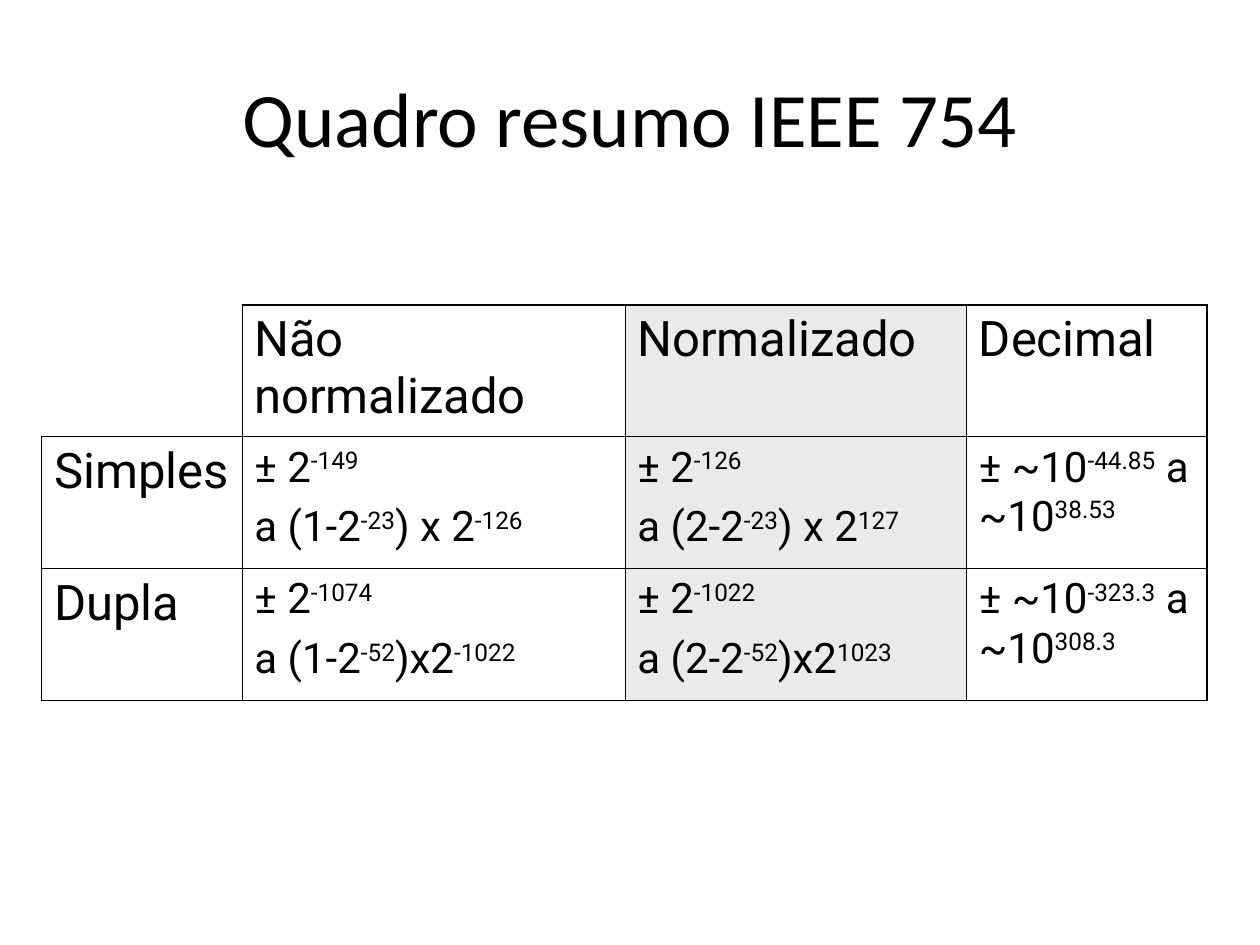
from lxml.etree import SubElement
from pptx import Presentation
from pptx.dml.color import RGBColor
from pptx.enum.text import MSO_ANCHOR, PP_ALIGN
from pptx.oxml.ns import qn
from pptx.util import Inches, Pt

BLACK = RGBColor(0x00, 0x00, 0x00)
GREY = RGBColor(0xEA, 0xEA, 0xEA)

INNER, OUTER = Pt(0.45), Pt(1.08)
COLUMN_WIDTHS = (1.59, 3.04, 2.71, 1.91)
NORMALIZED_COLUMN = 2

# Each cell is a list of paragraphs; text between carets is superscript
SUMMARY = [
    [[], ["Não normalizado"], ["Normalizado"], ["Decimal"]],
    [["Simples"],
     ["± 2^-149^", "a (1-2^-23^) x 2^-126^"],
     ["± 2^-126^", "a (2-2^-23^) x 2^127^"],
     ["± ~10^-44.85^ a ~10^38.53^"]],
    [["Dupla"],
     ["± 2^-1074^", "a (1-2^-52^)x2^-1022^"],
     ["± 2^-1022^", "a (2-2^-52^)x2^1023^"],
     ["± ~10^-323.3^ a ~10^308.3^"]],
]


def style_font(font, name, size):
    font.name, font.size = name, Pt(size)
    font.color.rgb = BLACK


def add_title(slide, left, top, width, height):
    title = slide.shapes.title
    title.left, title.top, title.width, title.height = left, top, width, height
    frame = title.text_frame
    frame.text = "Quadro resumo IEEE 754"
    frame.vertical_anchor = MSO_ANCHOR.MIDDLE
    heading = frame.paragraphs[0]
    heading.alignment = PP_ALIGN.CENTER
    style_font(heading.runs[0].font, "Calibri", 44)


def set_borders(cell, widths):
    """Draw the left, right, top and bottom edges; None means no line."""
    properties = cell._tc.get_or_add_tcPr()
    for side, width in zip("LRTB", widths):
        edge = SubElement(properties, qn(f"a:ln{side}"))
        if width is None:
            SubElement(edge, qn("a:noFill"))
            continue
        edge.set("w", str(width))
        fill = SubElement(edge, qn("a:solidFill"))
        SubElement(fill, qn("a:srgbClr")).set("val", str(BLACK))


def write_cell(cell, lines, is_label):
    frame = cell.text_frame
    for index, line in enumerate(lines):
        paragraph = frame.add_paragraph() if index else frame.paragraphs[0]
        paragraph.space_before = Pt(7 if is_label else 6)
        for part, text in enumerate(line.split("^")):
            if not text:
                continue
            run = paragraph.add_run()
            run.text = text
            style_font(run.font, "Roboto", 28 if is_label else 24)
            if part % 2:
                run.font._element.set("baseline", "30000")


def add_summary(slide, left, top, width, height):
    rows, columns = len(SUMMARY), len(COLUMN_WIDTHS)
    table = slide.shapes.add_table(rows, columns, left, top, width, height).table
    table.first_row = table.horz_banding = False
    for column, column_width in zip(table.columns, COLUMN_WIDTHS):
        column.width = Inches(column_width)

    for r, row in enumerate(SUMMARY):
        for c, lines in enumerate(row):
            cell = table.cell(r, c)
            # Thick outer frame, thin inner grid, open top left corner
            outer = OUTER if lines else None
            set_borders(cell, (
                outer if c == 0 else INNER,
                OUTER if c == columns - 1 else INNER,
                outer if r == 0 else INNER,
                OUTER if r == rows - 1 else INNER,
            ))
            # The normalized column is shaded
            if c == NORMALIZED_COLUMN:
                cell.fill.solid()
                cell.fill.fore_color.rgb = GREY
            else:
                cell.fill.background()
            write_cell(cell, lines, is_label=r == 0 or c == 0)


def main():
    presentation = Presentation()
    presentation.slide_width, presentation.slide_height = Inches(10), Inches(7.5)
    slide = presentation.slides.add_slide(presentation.slide_layouts[5])
    add_title(slide, Inches(0.5), Inches(0.3), Inches(9), Inches(1.25))
    add_summary(slide, Inches(0.33), Inches(2.42), Inches(9.25), Inches(3.14))
    presentation.save("out.pptx")


if __name__ == "__main__":
    main()
